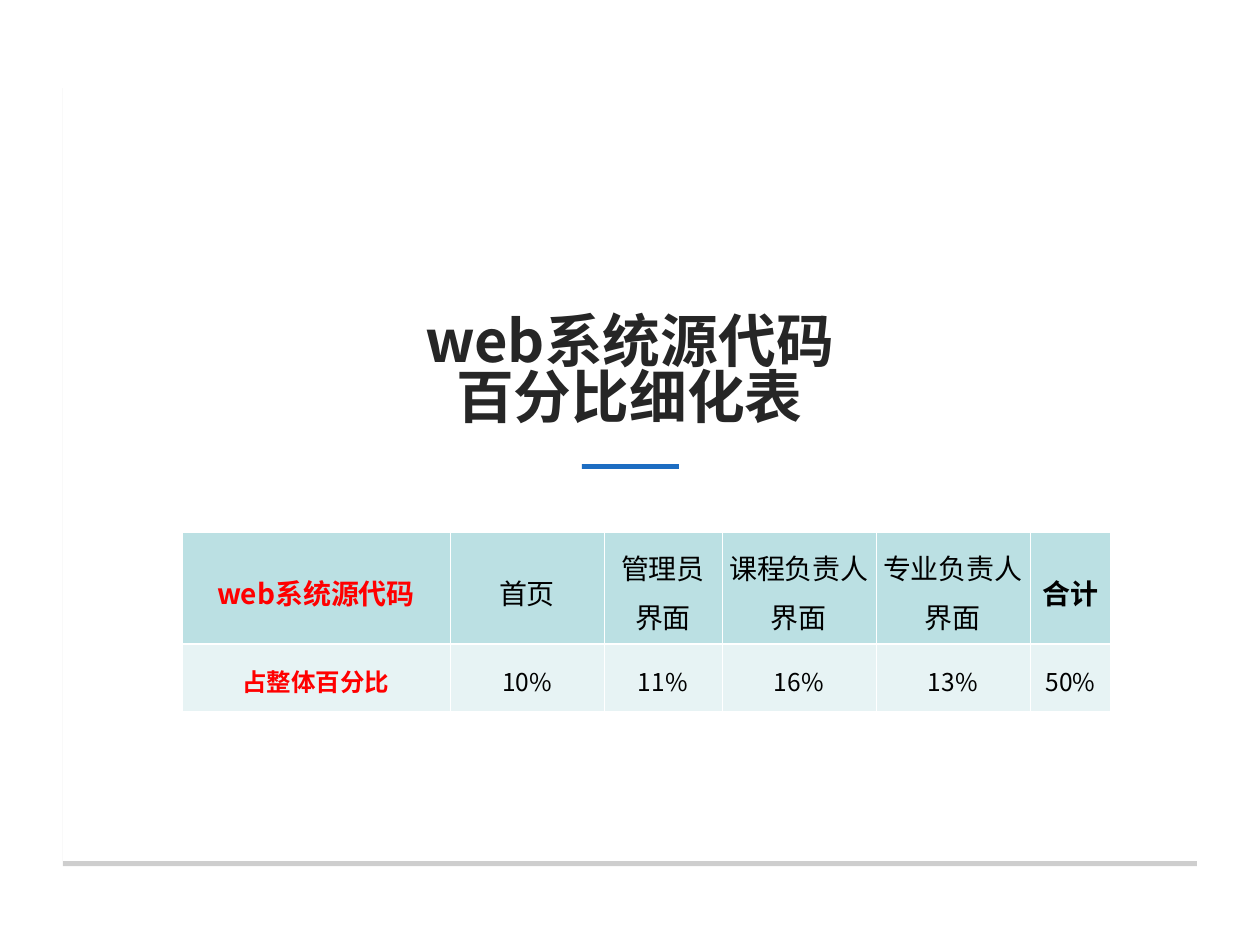
from lxml.etree import SubElement
from pptx import Presentation
from pptx.dml.color import RGBColor
from pptx.enum.shapes import MSO_SHAPE
from pptx.enum.text import MSO_ANCHOR, MSO_AUTO_SIZE, PP_ALIGN
from pptx.oxml import parse_xml
from pptx.oxml.ns import nsdecls, qn
from pptx.util import Emu, Pt

FONT = "Noto Sans CJK SC"
WHITE = RGBColor(0xFF, 0xFF, 0xFF)
BLACK = RGBColor(0, 0, 0)
RED = RGBColor(0xFF, 0, 0)
INK = RGBColor(0x26, 0x26, 0x26)
BLUE = RGBColor(0x1D, 0x6D, 0xC2)
HEADER_FILL = RGBColor(0xBB, 0xE0, 0xE3)
SHARE_FILL = RGBColor(0xE7, 0xF3, 0xF4)

COLUMN_WIDTHS = (268, 154, 118, 154, 154, 81)
ROW_HEIGHTS = (112, 67)
ROW_FILLS = (HEADER_FILL, SHARE_FILL)
ROW_SIZES = (16, 14)
SHARES = (
    ("web系统源代码", "首页", "管理员界面", "课程负责人界面", "专业负责人界面", "合计"),
    ("占整体百分比", "10%", "11%", "16%", "13%", "50%"),
)
BOLD_CELLS = {(0, 0), (1, 0), (0, 5)}


def px(length):
    return Emu(round(length * 914400 / 126))


def format_text(frame, size, color, bold, spacing):
    for paragraph in frame.paragraphs:
        paragraph.alignment = PP_ALIGN.CENTER
        paragraph.line_spacing = spacing
        for run in paragraph.runs:
            font = run.font
            font.size, font.bold, font.name = Pt(size), bold, FONT
            font.color.rgb = color
            # East Asian glyphs take their typeface from a separate element.
            SubElement(run._r.get_or_add_rPr(), qn("a:ea"), typeface=FONT)


def add_bar(slide, left, top, width, height, color):
    bar = slide.shapes.add_shape(
        MSO_SHAPE.RECTANGLE, px(left), px(top), px(width), px(height))
    bar.shadow.inherit = False
    bar.fill.solid()
    bar.fill.fore_color.rgb = color
    bar.line.fill.background()
    return bar


def add_drop_shadow(shape):
    effects = shape._element.spPr.find(qn("a:effectLst"))
    effects.append(parse_xml(
        f'<a:outerShdw {nsdecls("a")} blurRad="0" dist="{Pt(3)}" dir="5400000" '
        'algn="t" rotWithShape="0"><a:srgbClr val="0D0D0D">'
        '<a:alpha val="20000"/></a:srgbClr></a:outerShdw>'))


def set_title(slide, text):
    title = slide.shapes.title
    title.left, title.top, title.width, title.height = map(px, (157, 205, 945, 231))
    frame = title.text_frame
    frame.text = text
    frame.word_wrap = True
    frame.auto_size = MSO_AUTO_SIZE.NONE
    frame.vertical_anchor = MSO_ANCHOR.BOTTOM
    format_text(frame, 33, INK, True, 0.81)
    # Bring the title in front of the card.
    slide.shapes._spTree.append(title._element)


def set_borders(cell, row):
    """Thin white rules, with a thicker one between the two rows."""
    widths = {"L": 0.45, "R": 0.45, "T": 0.45, "B": 0.45}
    widths["T" if row else "B"] = 1.47
    properties = cell._tc.get_or_add_tcPr()
    for position, (side, width) in enumerate(widths.items()):
        properties.insert(position, parse_xml(
            f'<a:ln{side} {nsdecls("a")} w="{Pt(width)}"><a:solidFill>'
            f'<a:srgbClr val="{WHITE}"/></a:solidFill></a:ln{side}>'))


def fill_cell(cell, row, column):
    cell.margin_left = cell.margin_right = px(4)
    cell.margin_top = cell.margin_bottom = px(6)
    cell.vertical_anchor = MSO_ANCHOR.MIDDLE
    cell.fill.solid()
    cell.fill.fore_color.rgb = ROW_FILLS[row]
    set_borders(cell, row)
    cell.text_frame.text = SHARES[row][column]
    format_text(cell.text_frame, ROW_SIZES[row], BLACK if column else RED,
                (row, column) in BOLD_CELLS, 1.2)


def add_share_table(slide, left, top):
    table = slide.shapes.add_table(
        len(ROW_HEIGHTS), len(COLUMN_WIDTHS), px(left), px(top),
        px(sum(COLUMN_WIDTHS)), px(sum(ROW_HEIGHTS))).table
    for column, width in zip(table.columns, COLUMN_WIDTHS):
        column.width = px(width)
    for row, height in enumerate(ROW_HEIGHTS):
        table.rows[row].height = px(height)
        for column in range(len(COLUMN_WIDTHS)):
            fill_cell(table.cell(row, column), row, column)


def main():
    deck = Presentation()
    deck.slide_width, deck.slide_height = px(1260), px(945)
    slide = deck.slides.add_slide(deck.slide_layouts[5])
    card = add_bar(slide, 63, 83, 1134, 778, WHITE)
    add_drop_shadow(card)
    add_bar(slide, 582, 464, 97, 5, BLUE)
    set_title(slide, "web系统源代码\v百分比细化表")
    add_share_table(slide, 182, 532)
    deck.save("out.pptx")


if __name__ == "__main__":
    main()
